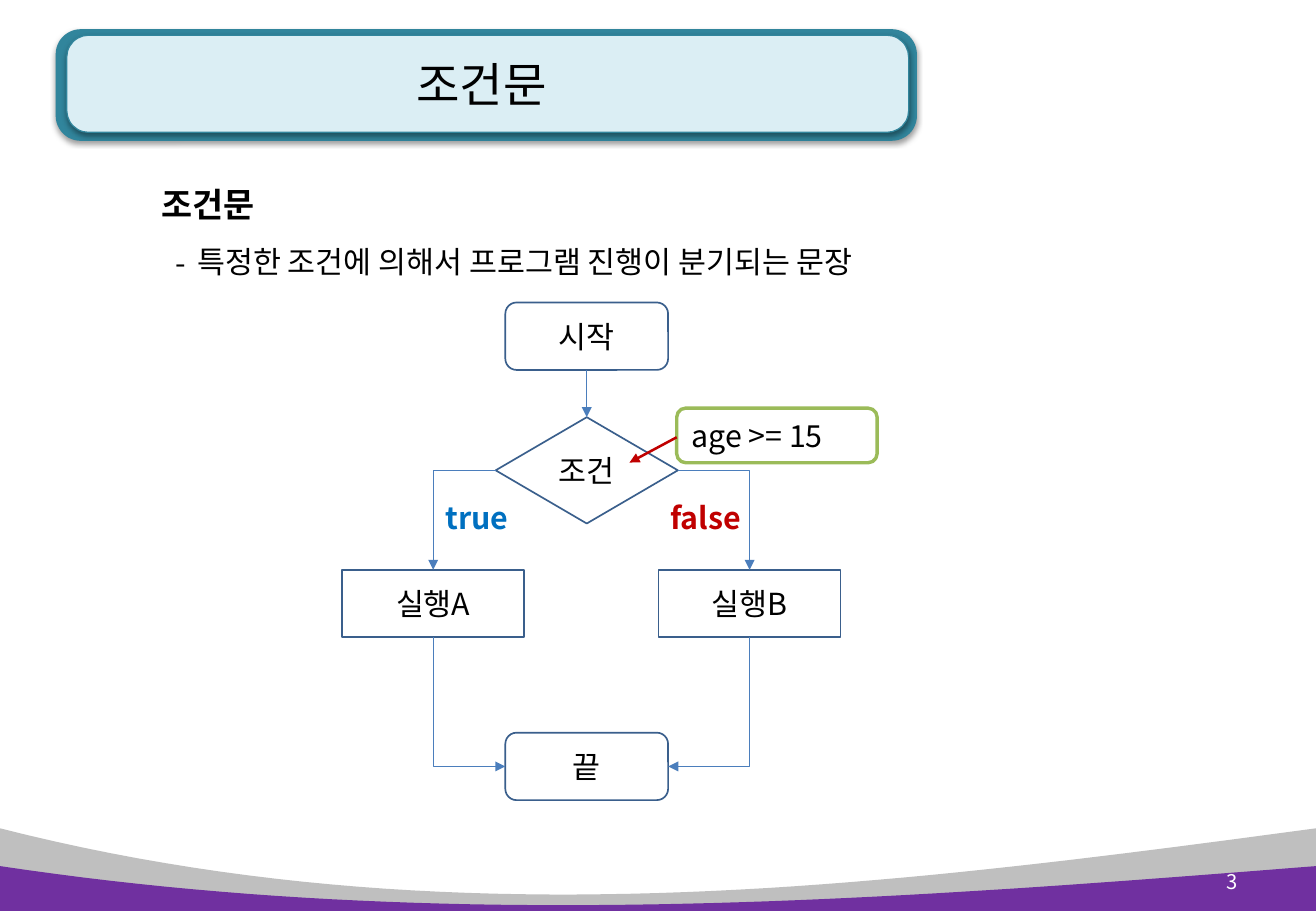
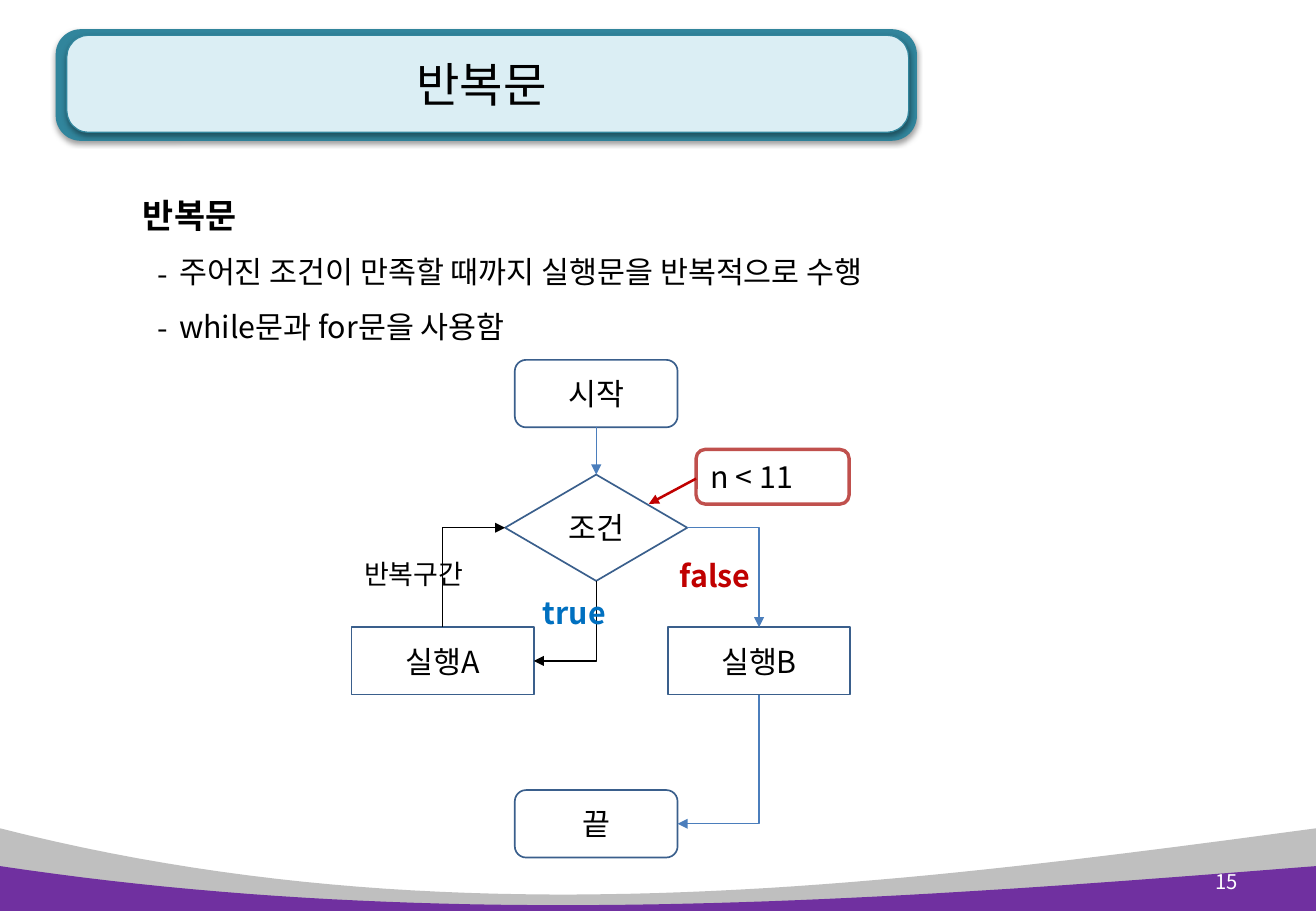
"""Build two lecture slides that explain branching and looping with flowcharts."""
from lxml import etree
from pptx import Presentation
from pptx.dml.color import RGBColor
from pptx.enum.shapes import MSO_CONNECTOR, MSO_SHAPE
from pptx.enum.text import MSO_ANCHOR, PP_ALIGN
from pptx.oxml.ns import qn
from pptx.util import Pt

ROUNDED, RECTANGLE, DIAMOND = MSO_SHAPE.ROUNDED_RECTANGLE, MSO_SHAPE.RECTANGLE, MSO_SHAPE.DIAMOND
STRAIGHT, ELBOW = MSO_CONNECTOR.STRAIGHT, MSO_CONNECTOR.ELBOW
LEFT, CENTER, RIGHT = PP_ALIGN.LEFT, PP_ALIGN.CENTER, PP_ALIGN.RIGHT
TOP, MIDDLE = MSO_ANCHOR.TOP, MSO_ANCHOR.MIDDLE


class Theme:
    """Colours, font and type sizes shared by both slides."""
    font = "Noto Sans CJK KR"
    black, white = RGBColor(0, 0, 0), RGBColor(255, 255, 255)
    gray, purple = RGBColor.from_string("BFBFBF"), RGBColor.from_string("7030A0")
    teal, pale = RGBColor.from_string("31859C"), RGBColor.from_string("DBEEF4")
    outline, flow = RGBColor.from_string("3A5F8C"), RGBColor.from_string("4B7EBC")
    yes, no = RGBColor.from_string("0070C0"), RGBColor.from_string("C00000")
    green, red = RGBColor.from_string("9BBB59"), RGBColor.from_string("C0504D")
    title, heading, body, small, number = 28, 20, 18, 16, 12


WIDTH, HEIGHT = 780, 540
TITLE_BOX = (33, 16, 505, 67.5)
NUMBER_BOX = (697, 508.3, 44, 28.8)
BANNERS = [((33, 17.3, 510.5, 66.2), Theme.teal, None),
           ((39.6, 20.9, 499, 57.6), Theme.pale, Theme.teal)]
WAVES = [((491, 558, 526.3, 491), Theme.gray), ((513.4, 553, 534.2, 513.4), Theme.purple)]
WAVE_X = (0, 263, 518, WIDTH)
WAVE_STEPS = 48
HEADING_INDENT, BULLET_INDENT, BULLET_GAP = 5, 13.4, 13
CALLOUT_HEIGHT, POINTER_DROP, POINTER_REACH = 32.4, 17.3, (-28, 15)

NODES = {
    "start": ("시작", ROUNDED, 0, 20, 96.5, 40),
    "end": ("끝", ROUNDED, 0, 275, 96.5, 40),
    "condition": ("조건", DIAMOND, 0, 99.5, 108, 63),
    "run A": ("실행A", RECTANGLE, -91, 178.5, 108, 40),
    "run B": ("실행B", RECTANGLE, 96.5, 178.5, 108, 40),
}
SIDES = {"top": (0, -0.5), "bottom": (0, 0.5), "left": (-0.5, 0), "right": (0.5, 0)}
SHARED_EDGES = [
    ("start", "bottom", "condition", "top", Theme.flow, "tailEnd"),
    ("condition", "right", "run B", "top", Theme.flow, "tailEnd"),
    ("run B", "bottom", "end", "right", Theme.flow, "tailEnd"),
]
SLIDES = [
    {
        "title": "조건문", "number": "3",
        "bullets": ["특정한 조건에 의해서 프로그램 진행이 분기되는 문장"],
        "body": (83.5, 93.6, 595.5, 80),
        "chart": (347.8, 179.3),
        "edges": [("condition", "left", "run A", "top", Theme.flow, "tailEnd"),
                  ("run A", "bottom", "end", "left", Theme.flow, "tailEnd")],
        "labels": [("true", -90.8, 113, 54, Theme.body, Theme.yes, True),
                   ("false", 42.5, 113, 62.6, Theme.body, Theme.no, True)],
        "callout": ("age >= 15", 53.3, 62.6, 118.8, Theme.green),
    },
    {
        "title": "반복문", "number": "15",
        "bullets": ["주어진 조건이 만족할 때까지 실행문을 반복적으로 수행",
                    "while문과 for문을 사용함"],
        "body": (72.7, 100, 595.5, 114),
        "chart": (353.4, 213.3),
        "edges": [("condition", "left", "run A", "top", Theme.black, "headEnd"),
                  ("condition", "bottom", "run A", "right", Theme.black, "tailEnd")],
        "labels": [("true", -38.8, 135.2, 54, Theme.body, Theme.yes, True),
                   ("false", 42.5, 113.5, 62.6, Theme.body, Theme.no, True),
                   ("반복구간", -144.6, 113.5, 87.8, Theme.small, Theme.black, False)],
        "callout": ("n < 11", 59.2, 53.1, 90.7, Theme.red),
    },
]


def points(values):
    return [Pt(value) for value in values]


def add_run(paragraph, text, size, color=Theme.black, bold=False):
    run = paragraph.add_run()
    run.text = text
    run.font.size, run.font.bold, run.font.name = Pt(size), bold, Theme.font
    run.font.color.rgb = color
    etree.SubElement(run.font._element, qn("a:ea"), typeface=Theme.font)


def write(shape, text, size, color=Theme.black, bold=False, align=LEFT, anchor=TOP):
    frame = shape.text_frame
    frame.word_wrap, frame.vertical_anchor = True, anchor
    frame.paragraphs[0].alignment = align
    add_run(frame.paragraphs[0], text, size, color, bold)


def paint(shape, fill=None, line=None, width=1):
    shape.shadow.inherit = False
    if fill is None:
        shape.fill.background()
    else:
        shape.fill.solid()
        shape.fill.fore_color.rgb = fill
    if line is None:
        shape.line.fill.background()
    else:
        shape.line.color.rgb, shape.line.width = line, Pt(width)


def add_soft_shadow(shape):
    effects = shape.element.spPr.find(qn("a:effectLst"))
    shadow = etree.SubElement(effects, qn("a:outerShdw"), blurRad=str(Pt(3.1)),
                              dist=str(Pt(1.6)), dir="5400000", rotWithShape="0")
    color = etree.SubElement(shadow, qn("a:srgbClr"), val=str(Theme.black))
    etree.SubElement(color, qn("a:alpha"), val="38000")


def bezier(controls, t):
    a, b, c, d = controls
    return (1 - t) ** 3 * a + 3 * (1 - t) ** 2 * t * b + 3 * (1 - t) * t ** 2 * c + t ** 3 * d


def add_wave(slide, heights, color):
    steps = [step / WAVE_STEPS for step in range(WAVE_STEPS + 1)]
    curve = [points((bezier(WAVE_X, t), bezier(heights, t))) for t in steps]
    builder = slide.shapes.build_freeform(*curve[0], scale=1.0)
    corners = [points((WIDTH, HEIGHT)), points((0, HEIGHT))]
    builder.add_line_segments(curve[1:] + corners, close=True)
    wave = builder.convert_to_shape()
    paint(wave, color)
    return wave


def add_banner(slide, box, fill, line):
    banner = slide.shapes.add_shape(ROUNDED, *points(box))
    banner.adjustments[0] = 0.225
    paint(banner, fill, line, 0.75)
    add_soft_shadow(banner)
    return banner


def decorate_layout(layout, slide):
    gray_wave, purple_wave = [add_wave(slide, *wave) for wave in WAVES]
    banners = [add_banner(slide, *banner) for banner in BANNERS]
    for position, shape in enumerate([gray_wave, *banners, purple_wave], start=2):
        layout.shapes.element.insert(position, shape.element)


def add_body(slide, content):
    frame = slide.shapes.add_textbox(*points(content["body"])).text_frame
    frame.word_wrap = True
    heading = frame.paragraphs[0]
    heading.line_spacing = 1.5
    add_run(heading, content["title"], Theme.heading, bold=True)
    heading._p.get_or_add_pPr().set("marL", str(Pt(HEADING_INDENT)))
    for text in content["bullets"]:
        paragraph = frame.add_paragraph()
        paragraph.line_spacing = 1.5
        add_run(paragraph, text, Theme.body)
        properties = paragraph._p.get_or_add_pPr()
        properties.set("marL", str(Pt(BULLET_INDENT + BULLET_GAP)))
        properties.set("indent", str(-Pt(BULLET_GAP)))
        etree.SubElement(properties, qn("a:buFont"), typeface=Theme.font)
        etree.SubElement(properties, qn("a:buChar"), char="-")


def add_line(slide, kind, begin, end, color, width, arrow):
    connector = slide.shapes.add_connector(kind, *points((*begin, *end)))
    connector.line.color.rgb, connector.line.width = color, Pt(width)
    properties = connector.element.spPr
    etree.SubElement(properties.find(qn("a:ln")), qn(f"a:{arrow}"), type="triangle")
    etree.SubElement(properties, qn("a:effectLst"))
    return connector


def anchor_point(name, side, origin):
    _, _, x, y, width, height = NODES[name]
    across, down = SIDES[side]
    return origin[0] + x + across * width, origin[1] + y + down * height


def add_edge(slide, origin, source, source_side, target, target_side, color, arrow):
    begin = anchor_point(source, source_side, origin)
    end = anchor_point(target, target_side, origin)
    if begin[0] == end[0]:
        add_line(slide, STRAIGHT, begin, end, color, 0.75, arrow)
        return
    turn = 0
    if source_side == "bottom":
        turn = 90 if end[0] < begin[0] else 270
        middle_x, middle_y = (begin[0] + end[0]) / 2, (begin[1] + end[1]) / 2
        half_width = (end[1] - begin[1]) / 2 * (1 if turn == 90 else -1)
        half_height = abs(end[0] - begin[0]) / 2
        begin = (middle_x - half_width, middle_y - half_height)
        end = (middle_x + half_width, middle_y + half_height)
    connector = add_line(slide, ELBOW, begin, end, color, 0.75, arrow)
    properties = connector.element.spPr
    properties.find(qn("a:prstGeom")).set("prst", "bentConnector2")
    if turn:
        properties.find(qn("a:xfrm")).set("rot", str(turn * 60000))


def add_flowchart(slide, content):
    origin = left, top = content["chart"]
    for text, kind, x, y, width, height in NODES.values():
        box = (left + x - width / 2, top + y - height / 2, width, height)
        node = slide.shapes.add_shape(kind, *points(box))
        paint(node, line=Theme.outline)
        write(node, text, Theme.body, align=CENTER, anchor=MIDDLE)
    for edge in SHARED_EDGES + content["edges"]:
        add_edge(slide, origin, *edge)
    for text, x, y, width, size, color, bold in content["labels"]:
        label = slide.shapes.add_textbox(*points((left + x, top + y, width, 29)))
        write(label, text, size, color, bold)
    text, x, y, width, color = content["callout"]
    corner = (left + x, top + y)
    callout = slide.shapes.add_shape(ROUNDED, *points((*corner, width, CALLOUT_HEIGHT)))
    paint(callout, Theme.white, color, 2)
    write(callout, text, Theme.body)
    begin = (corner[0], corner[1] + POINTER_DROP)
    end = (begin[0] + POINTER_REACH[0], begin[1] + POINTER_REACH[1])
    add_line(slide, STRAIGHT, begin, end, Theme.no, 1.5, "tailEnd")


def build_slide(slide, content):
    title = slide.shapes.title
    title.left, title.top, title.width, title.height = points(TITLE_BOX)
    write(title, content["title"], Theme.title, align=CENTER, anchor=MIDDLE)
    number = slide.shapes.add_textbox(*points(NUMBER_BOX))
    write(number, content["number"], Theme.number, Theme.white, align=RIGHT, anchor=MIDDLE)
    add_body(slide, content)
    add_flowchart(slide, content)


presentation = Presentation()
presentation.slide_width, presentation.slide_height = points((WIDTH, HEIGHT))
title_only = presentation.slide_layouts[5]
slides = [presentation.slides.add_slide(title_only) for _ in SLIDES]
decorate_layout(title_only, slides[0])
for slide, content in zip(slides, SLIDES):
    build_slide(slide, content)
presentation.save("out.pptx")
